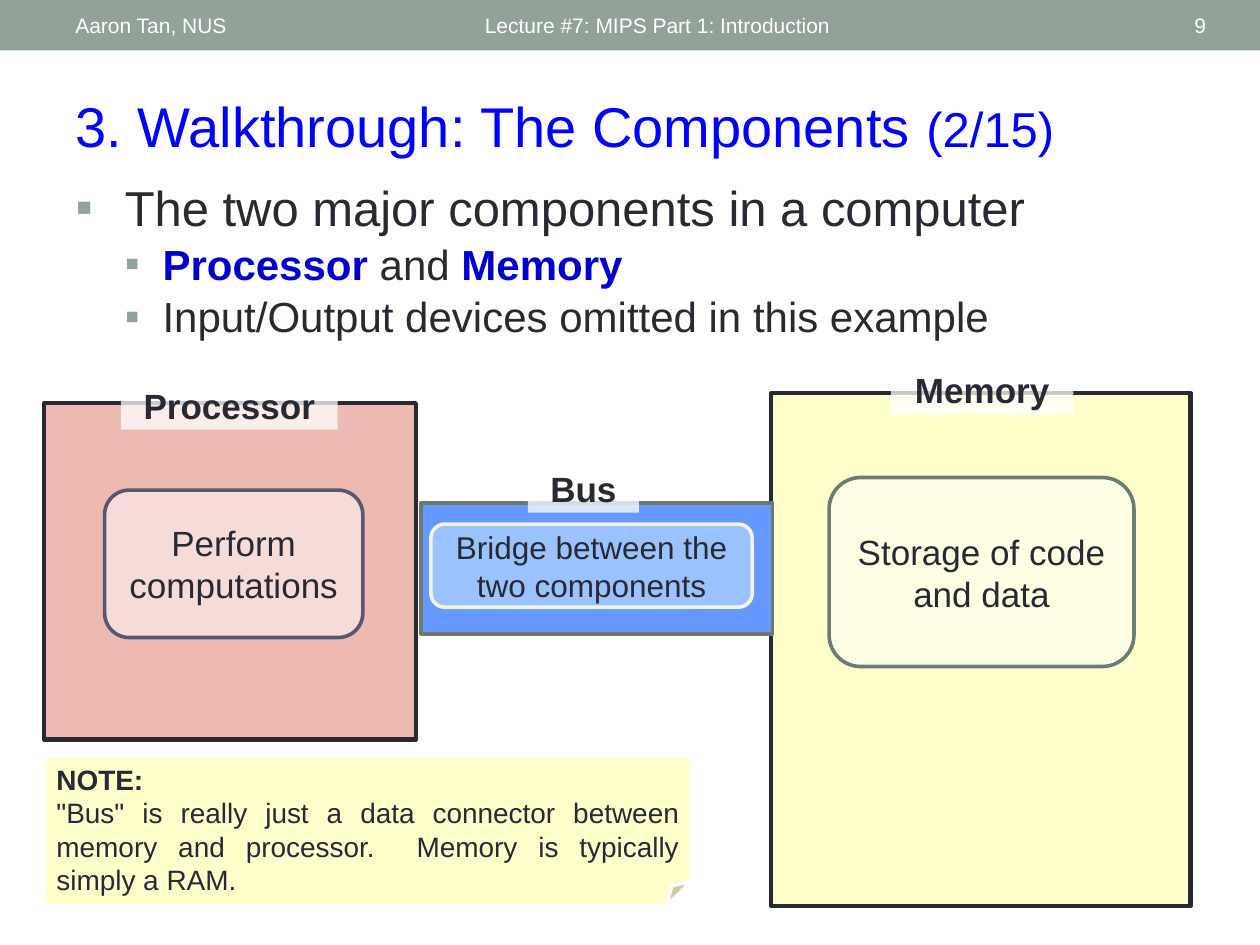
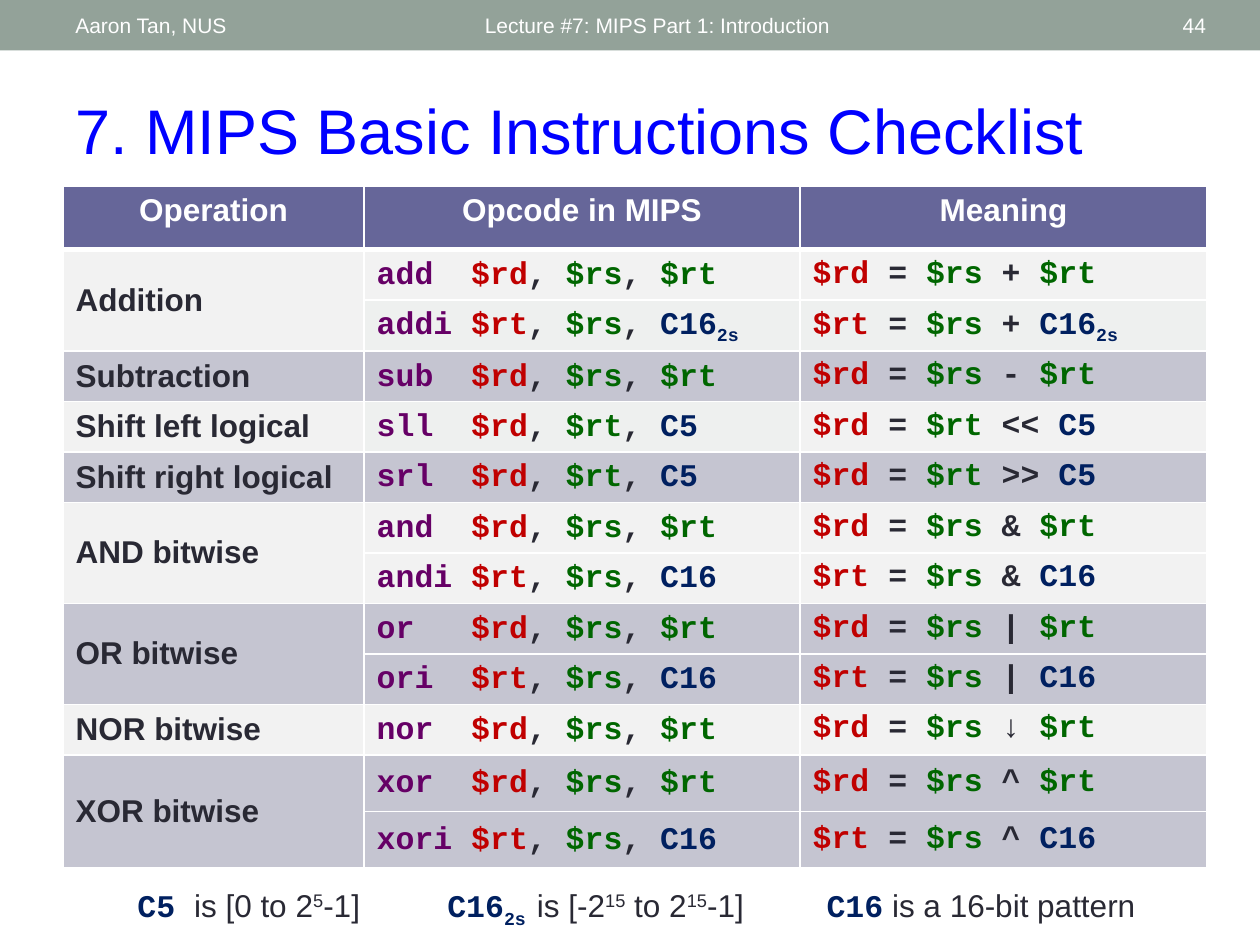
"""Build two MIPS lecture slides: the computer components and the instruction checklist."""
from lxml.etree import SubElement
from pptx import Presentation
from pptx.dml.color import RGBColor
from pptx.enum.shapes import MSO_SHAPE
from pptx.enum.text import MSO_ANCHOR, MSO_AUTO_SIZE, PP_ALIGN
from pptx.oxml.ns import qn
from pptx.util import Inches, Pt

COLORS = {
    "band": "93A299", "white": "FFFFFF", "title": "0000FF", "ink": "292934",
    "keyword": "0000CC", "cream": "FFFFCC", "pink": "EDBAB1", "blue": "6699FF",
    "ice": "CCECFF", "memory_edge": "6B7D72", "bus_edge": "6D7871",
    "bridge_edge": "F3F2DC", "processor_edge": "57576E", "header": "666699",
    "light": "F2F2F2", "dark": "C5C5D1", "tint": "EEF0EF", "opcode": "660066",
    "target": "C00000", "source": "006600", "constant": "002060",
}
SANS, MONO = "Arial", "Courier New"

LECTURER = "Aaron Tan, NUS"
LECTURE = "Lecture #7: MIPS Part 1: Introduction"

COMPONENTS_TITLE = [("3. Walkthrough: The Components ", 32), ("(2/15)", 28)]
CHECKLIST_TITLE = [("7. MIPS Basic Instructions Checklist", 36)]

BULLETS = [
    (0, [("The two major components in a computer", False)]),
    (1, [("Processor", True), (" and ", False), ("Memory", True)]),
    (1, [("Input/Output devices omitted in this example", False)]),
]
BULLET_LEVELS = [
    {"size": 28, "margin": 0.39, "hang": 0.39, "before": 0},
    {"size": 24, "margin": 0.69, "hang": 0.3, "before": 1},
]

COMPONENTS = [
    {"name": "Memory", "role": "Storage of code and data", "size": 20,
     "block": (6.12, 3.12, 3.33, 4.07), "block_style": ("cream", "ink", 2.5),
     "label": (7.07, 2.95, 1.45, 0.34), "inner": (6.58, 3.79, 2.42, 1.5),
     "inner_style": ("white", "memory_edge")},
    {"name": "Bus", "role": "Bridge between the two components", "size": 18,
     "block": (3.34, 3.99, 2.79, 1.04), "block_style": ("blue", "bus_edge", 2.08),
     "label": (4.19, 3.73, 0.88, 0.34), "inner": (3.42, 4.16, 2.55, 0.66),
     "inner_style": ("ice", "bridge_edge")},
    {"name": "Processor", "role": "Perform computations", "size": 20,
     "block": (0.35, 3.2, 2.95, 2.67), "block_style": ("pink", "ink", 2.5),
     "label": (0.96, 3.07, 1.72, 0.34), "inner": (0.83, 3.89, 2.05, 1.17),
     "inner_style": ("white", "processor_edge")},
]
NOTE_HEADING = "NOTE:"
NOTE = ('"Bus" is really just a data connector between memory and processor.  '
        "Memory is typically simply a RAM.")

HEADINGS = ["Operation", "Opcode in MIPS", "Meaning"]
OPERATIONS = [
    ("Addition", [("add", "$rd", "$rs", "$rt", "+"),
                  ("addi", "$rt", "$rs", "C16_2s", "+")]),
    ("Subtraction", [("sub", "$rd", "$rs", "$rt", "-")]),
    ("Shift left logical", [("sll", "$rd", "$rt", "C5", "<<")]),
    ("Shift right logical", [("srl", "$rd", "$rt", "C5", ">>")]),
    ("AND bitwise", [("and", "$rd", "$rs", "$rt", "&"),
                     ("andi", "$rt", "$rs", "C16", "&")]),
    ("OR bitwise", [("or", "$rd", "$rs", "$rt", "|"),
                    ("ori", "$rt", "$rs", "C16", "|")]),
    ("NOR bitwise", [("nor", "$rd", "$rs", "$rt", "↓")]),
    ("XOR bitwise", [("xor", "$rd", "$rs", "$rt", "^"),
                     ("xori", "$rt", "$rs", "C16", "^")]),
]
TINTED_CELLS = {("addi", 1), ("addi", 2), ("sll", 1)}
COLUMN_WIDTHS = [2.39, 3.46, 3.23]
ROW_HEIGHTS = [0.5] + [0.4] * 10 + [0.45] * 2

CONSTANT = {"font": MONO, "color": "constant", "bold": True}
LEGEND = [
    ("C5 ", CONSTANT), ("is [0 to 2", {}), ("5", {"baseline": 30}), ("-1]\t", {}),
    ("C16", CONSTANT), ("2s ", {**CONSTANT, "baseline": -25}),
    ("is [-2", {}), ("15", {"baseline": 30}), (" to 2", {}),
    ("15", {"baseline": 30}), ("-1]\t", {}),
    ("C16", CONSTANT), (" is a 16-bit pattern", {}),
]
LEGEND_TABS = [2.46, 5.47]


def rgb(color):
    return RGBColor.from_string(COLORS[color])


def write(paragraph, text, size=18, color="ink", bold=False, font=SANS, baseline=0):
    run = paragraph.add_run()
    run.text = text
    run.font.size = Pt(size)
    run.font.name = font
    run.font.bold = bold
    run.font.color.rgb = rgb(color)
    if baseline:
        run._r.get_or_add_rPr().set("baseline", str(baseline * 1000))


def place(shape, box):
    shape.left, shape.top, shape.width, shape.height = map(Inches, box)


def add_block(slide, kind, box, fill, edge=None, weight=2.08, opacity=100):
    block = slide.shapes.add_shape(kind, *map(Inches, box))
    block.shadow.inherit = False
    block.fill.solid()
    block.fill.fore_color.rgb = rgb(fill)
    if opacity < 100:
        color = block.fill._xPr.find(qn("a:solidFill"))[0]
        SubElement(color, qn("a:alpha")).set("val", str(opacity * 1000))
    if edge:
        block.line.color.rgb = rgb(edge)
        block.line.width = Pt(weight)
    else:
        block.line.fill.background()
    block.text_frame.word_wrap = True
    return block


def add_text_box(slide, box, anchor=MSO_ANCHOR.MIDDLE):
    frame = slide.shapes.add_textbox(*map(Inches, box)).text_frame
    frame.word_wrap = True
    frame.vertical_anchor = anchor
    return frame


def start_slide(prs, layout, title, title_box, number):
    slide = prs.slides.add_slide(prs.slide_layouts[layout])
    add_block(slide, MSO_SHAPE.RECTANGLE, (0, 0, 10, 0.4), "band")
    for text, left, width, align in [
        (LECTURER, 0.5, 3.17, PP_ALIGN.LEFT),
        (LECTURE, 3.75, 4.5, PP_ALIGN.LEFT),
        (number, 8.72, 0.95, PP_ALIGN.RIGHT),
    ]:
        paragraph = add_text_box(slide, (left, 0.02, width, 0.36)).paragraphs[0]
        paragraph.alignment = align
        write(paragraph, text, size=12, color="white")
    heading = slide.shapes.title
    place(heading, title_box)
    frame = heading.text_frame
    frame.auto_size = MSO_AUTO_SIZE.NONE
    frame.vertical_anchor = MSO_ANCHOR.BOTTOM
    frame.paragraphs[0].alignment = PP_ALIGN.LEFT
    for text, size in title:
        write(frame.paragraphs[0], text, size=size, color="title")
    return slide


def add_bullets(slide):
    body = slide.placeholders[1]
    place(body, (0.5, 1.36, 9, 1.55))
    frame = body.text_frame
    frame.auto_size = MSO_AUTO_SIZE.NONE
    for index, (level, parts) in enumerate(BULLETS):
        paragraph = frame.add_paragraph() if index else frame.paragraphs[0]
        style = BULLET_LEVELS[level]
        paragraph.level = level
        paragraph.space_before = Pt(style["before"])
        properties = paragraph._p.get_or_add_pPr()
        properties.set("marL", str(Inches(style["margin"])))
        properties.set("indent", str(-Inches(style["hang"])))
        bullet_color = SubElement(properties, qn("a:buClr"))
        SubElement(bullet_color, qn("a:srgbClr")).set("val", COLORS["band"])
        SubElement(properties, qn("a:buFont")).set("typeface", SANS)
        SubElement(properties, qn("a:buChar")).set("char", "▪")
        for text, key in parts:
            write(paragraph, text, size=style["size"], bold=key,
                  color="keyword" if key else "ink")


def add_component(slide, part):
    add_block(slide, MSO_SHAPE.RECTANGLE, part["block"], *part["block_style"])
    label = add_block(slide, MSO_SHAPE.RECTANGLE, part["label"], "white", opacity=75)
    frame = label.text_frame
    frame.margin_left = frame.margin_right = Inches(0.07)
    frame.margin_top = frame.margin_bottom = Inches(0.03)
    frame.vertical_anchor = MSO_ANCHOR.TOP
    frame.paragraphs[0].line_spacing = 0.85
    write(frame.paragraphs[0], part["name"], size=20, bold=True)
    inner = add_block(slide, MSO_SHAPE.ROUNDED_RECTANGLE, part["inner"],
                      *part["inner_style"], opacity=50)
    write(inner.text_frame.paragraphs[0], part["role"], size=part["size"])


def add_note(slide):
    note = add_block(slide, MSO_SHAPE.FOLDED_CORNER, (0.35, 6, 5.14, 1.19), "cream", "white")
    frame = note.text_frame
    frame.vertical_anchor = MSO_ANCHOR.TOP
    heading, explanation = frame.paragraphs[0], frame.add_paragraph()
    heading.alignment = PP_ALIGN.LEFT
    explanation.alignment = PP_ALIGN.JUSTIFY
    write(heading, NOTE_HEADING, size=16, bold=True)
    write(explanation, NOTE, size=16)


def style_cell(cell, fill, bottom=1):
    properties = cell._tc.get_or_add_tcPr()
    for side, weight in zip("LRTB", (1, 1, 1, bottom)):
        line = SubElement(properties, qn(f"a:ln{side}"))
        line.set("w", str(Pt(weight)))
        SubElement(SubElement(line, qn("a:solidFill")),
                   qn("a:srgbClr")).set("val", COLORS["white"])
    cell.fill.solid()
    cell.fill.fore_color.rgb = rgb(fill)


def write_code(paragraph, parts):
    for text, color in parts:
        value, _, subscript = text.partition("_")
        write(paragraph, value, color=color, bold=True, font=MONO)
        if subscript:
            write(paragraph, subscript, color=color, bold=True, font=MONO, baseline=-25)


def instruction_code(opcode, target, first, second, operator):
    last = (second, "source" if second.startswith("$") else "constant")
    comma = (", ", "ink")
    syntax = [(f"{opcode:<5}", "opcode"), (target, "target"), comma,
              (first, "source"), comma, last]
    meaning = [(target, "target"), (" = ", "ink"), (first, "source"),
               (f" {operator} ", "ink"), last]
    return syntax, meaning


def add_checklist(slide):
    table = slide.shapes.add_table(
        len(ROW_HEIGHTS), len(HEADINGS), Inches(0.5), Inches(1.48),
        Inches(sum(COLUMN_WIDTHS)), Inches(sum(ROW_HEIGHTS))).table
    for column, width in zip(table.columns, COLUMN_WIDTHS):
        column.width = Inches(width)
    for row, height in zip(table.rows, ROW_HEIGHTS):
        row.height = Inches(height)
    for column, heading in enumerate(HEADINGS):
        cell = table.cell(0, column)
        style_cell(cell, "header", bottom=3)
        cell.text_frame.paragraphs[0].alignment = PP_ALIGN.CENTER
        write(cell.text_frame.paragraphs[0], heading, color="white", bold=True)
    row = 1
    for band, (operation, instructions) in enumerate(OPERATIONS):
        fill = "dark" if band % 2 else "light"
        name_cell = table.cell(row, 0)
        if len(instructions) > 1:
            name_cell.merge(table.cell(row + len(instructions) - 1, 0))
        name_cell.vertical_anchor = MSO_ANCHOR.MIDDLE
        write(name_cell.text_frame.paragraphs[0], operation, bold=True)
        for instruction in instructions:
            style_cell(table.cell(row, 0), fill)
            for column, code in enumerate(instruction_code(*instruction), start=1):
                cell = table.cell(row, column)
                tinted = (instruction[0], column) in TINTED_CELLS
                style_cell(cell, "tint" if tinted else fill)
                cell.vertical_anchor = MSO_ANCHOR.MIDDLE
                paragraph = cell.text_frame.paragraphs[0]
                if column == 1 or tinted:
                    paragraph.line_spacing = 0.9
                write_code(paragraph, code)
            row += 1


def add_legend(slide):
    frame = add_text_box(slide, (0.5, 6.98, 9.08, 0.4), MSO_ANCHOR.TOP)
    frame.margin_left = Inches(0.59)
    paragraph = frame.paragraphs[0]
    stops = SubElement(paragraph._p.get_or_add_pPr(), qn("a:tabLst"))
    for position in LEGEND_TABS:
        stop = SubElement(stops, qn("a:tab"))
        stop.set("pos", str(Inches(position)))
        stop.set("algn", "l")
    for text, style in LEGEND:
        write(paragraph, text, **style)


def main():
    prs = Presentation()
    prs.slide_width, prs.slide_height = Inches(10), Inches(7.5)

    components = start_slide(prs, 1, COMPONENTS_TITLE, (0.5, 0.67, 9, 0.64), "9")
    add_bullets(components)
    for part in COMPONENTS:
        add_component(components, part)
    add_note(components)

    checklist = start_slide(prs, 5, CHECKLIST_TITLE, (0.5, 0.67, 9.17, 0.71), "44")
    add_checklist(checklist)
    add_legend(checklist)

    prs.save("out.pptx")


if __name__ == "__main__":
    main()
